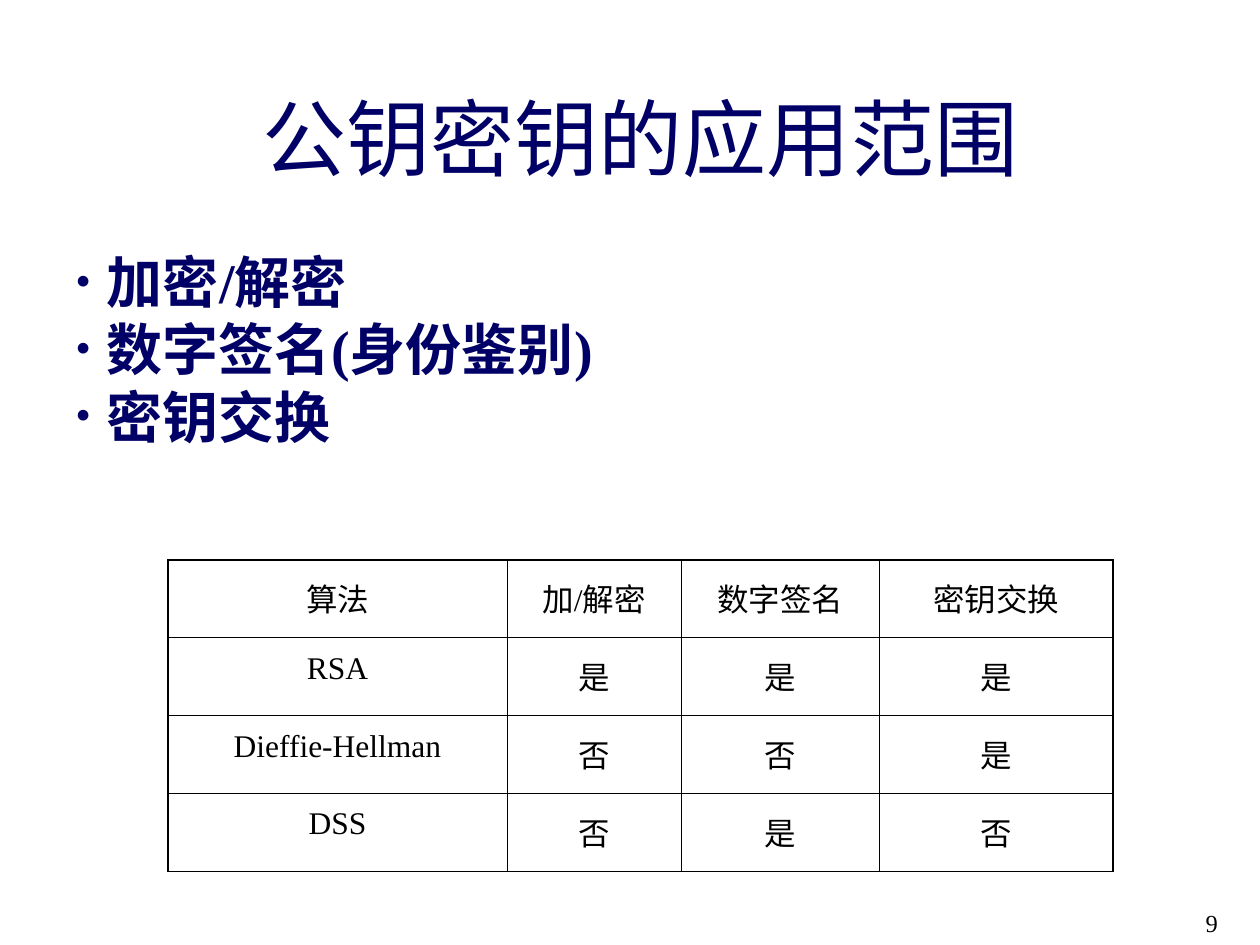
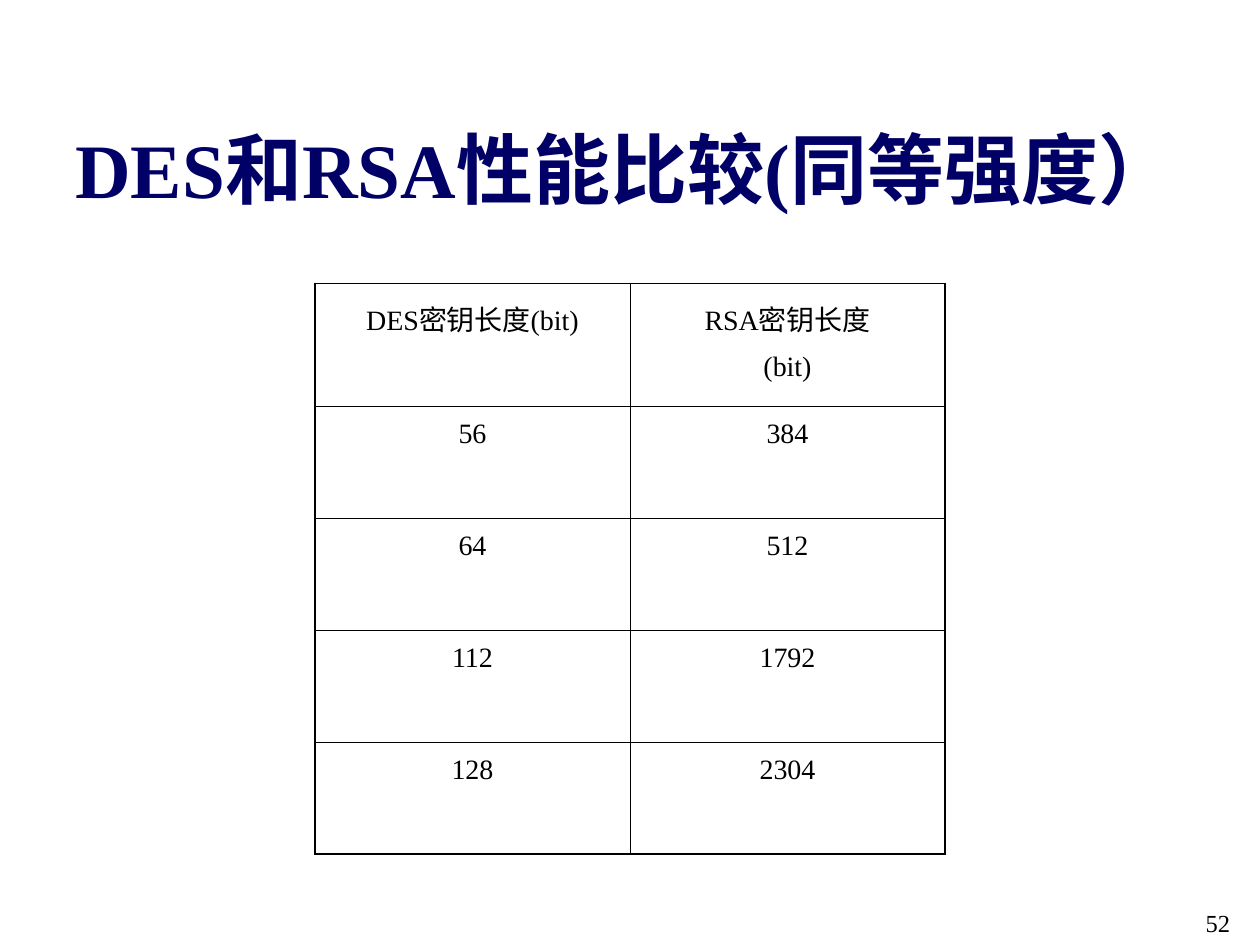
from lxml.etree import SubElement
from pptx import Presentation
from pptx.dml.color import RGBColor
from pptx.enum.text import MSO_ANCHOR as Anchor, PP_ALIGN as Align
from pptx.oxml import parse_xml
from pptx.oxml.ns import nsdecls, qn
from pptx.util import Pt

NAVY = RGBColor(0x00, 0x00, 0x66)
BLACK = RGBColor(0x00, 0x00, 0x00)
SERIF = "Times New Roman"
SANS = "Arial"
OUTER_LINE = Pt(1.08)
INNER_LINE = Pt(0.45)


def style_font(paragraph, size, color, name=SERIF, bold=False):
    for run in paragraph.runs:
        font = run.font
        font.size, font.name, font.bold = Pt(size), name, bold
        font.color.rgb = color


def add_text(slide, box, text, size, color, name=SERIF, bold=False,
             align=Align.LEFT, anchor=Anchor.TOP):
    shape = slide.shapes.add_textbox(*map(Pt, box))
    frame = shape.text_frame
    frame.word_wrap = True
    frame.vertical_anchor = anchor
    frame.text = text
    for paragraph in frame.paragraphs:
        paragraph.alignment = align
        style_font(paragraph, size, color, name, bold)
    return frame


def add_page_number(slide, number):
    frame = add_text(slide, (689, 519, 24, 17), str(number), 14, BLACK)
    frame.margin_left = frame.margin_right = 0
    frame.margin_top = frame.margin_bottom = 0


def add_bullets(slide, box, items):
    frame = add_text(slide, box, "\n".join(items), 32, NAVY, bold=True)
    for paragraph in frame.paragraphs:
        properties = paragraph._p.get_or_add_pPr()
        properties.set("marL", str(Pt(18)))
        properties.set("indent", str(-Pt(18)))
        color = SubElement(properties, qn("a:buClr"))
        SubElement(color, qn("a:srgbClr"), val=str(NAVY))
        SubElement(properties, qn("a:buSzPct"), val="80000")
        SubElement(properties, qn("a:buFont"), typeface=SERIF)
        SubElement(properties, qn("a:buChar"), char="•")


def set_borders(cell, widths):
    """Draw black borders; widths maps L, R, T and B, in that order."""
    properties = cell._tc.get_or_add_tcPr()
    for index, (side, width) in enumerate(widths.items()):
        properties.insert(index, parse_xml(
            f'<a:ln{side} {nsdecls("a")} w="{width}"><a:solidFill>'
            f'<a:srgbClr val="{BLACK}"/></a:solidFill></a:ln{side}>'))


def fill_cell(cell, text, size):
    cell.fill.background()
    cell.text_frame.text = text
    for index, paragraph in enumerate(cell.text_frame.paragraphs):
        paragraph.alignment = Align.CENTER
        paragraph.line_spacing = 1.2
        if index:
            paragraph.space_before = Pt(size / 4)
        style_font(paragraph, size, BLACK)


def add_grid(slide, left, top, column_widths, row_heights, rows, size):
    """Add a plain table with a heavier outer frame."""
    table = slide.shapes.add_table(
        len(rows), len(column_widths), Pt(left), Pt(top),
        Pt(sum(column_widths)), Pt(sum(row_heights))).table
    table.first_row = table.horz_banding = False
    for column, width in zip(table.columns, column_widths):
        column.width = Pt(width)
    for row, height in zip(table.rows, row_heights):
        row.height = Pt(height)

    last_row, last_column = len(rows) - 1, len(column_widths) - 1
    for r, values in enumerate(rows):
        for c, text in enumerate(values):
            cell = table.cell(r, c)
            fill_cell(cell, text, size)
            on_edge = {"L": c == 0, "R": c == last_column,
                       "T": r == 0, "B": r == last_row}
            set_borders(cell, {side: OUTER_LINE if outer else INNER_LINE
                               for side, outer in on_edge.items()})


def add_applications_slide(slide):
    add_page_number(slide, 9)
    add_text(slide, (60, 42, 612, 72), "公钥密钥的应用范围", 48, NAVY, SANS,
             align=Align.CENTER, anchor=Anchor.MIDDLE)
    add_bullets(slide, (36, 138, 642, 122.4),
                ["加密/解密", "数字签名(身份鉴别)", "密钥交换"])
    add_grid(slide, 96, 320, [193.7, 99.5, 113.5, 133.3], [44.5] * 4, [
        ["算法", "加/解密", "数字签名", "密钥交换"],
        ["RSA", "是", "是", "是"],
        ["Dieffie-Hellman", "否", "否", "是"],
        ["DSS", "否", "是", "否"],
    ], 18)


def add_performance_slide(slide):
    add_page_number(slide, 52)
    add_grid(slide, 180, 162, [180, 180], [70] + [64] * 4, [
        ["DES密钥长度(bit)", "RSA密钥长度\n(bit)"],
        ["56", "384"],
        ["64", "512"],
        ["112", "1792"],
        ["128", "2304"],
    ], 16)
    add_text(slide, (36, 66, 660, 113), "DES和RSA性能比较(同等强度）", 44, NAVY,
             bold=True)


def main():
    presentation = Presentation()
    presentation.slide_width, presentation.slide_height = Pt(720), Pt(540)
    blank = presentation.slide_layouts[6]
    for build in (add_applications_slide, add_performance_slide):
        build(presentation.slides.add_slide(blank))
    presentation.save("out.pptx")


if __name__ == "__main__":
    main()
